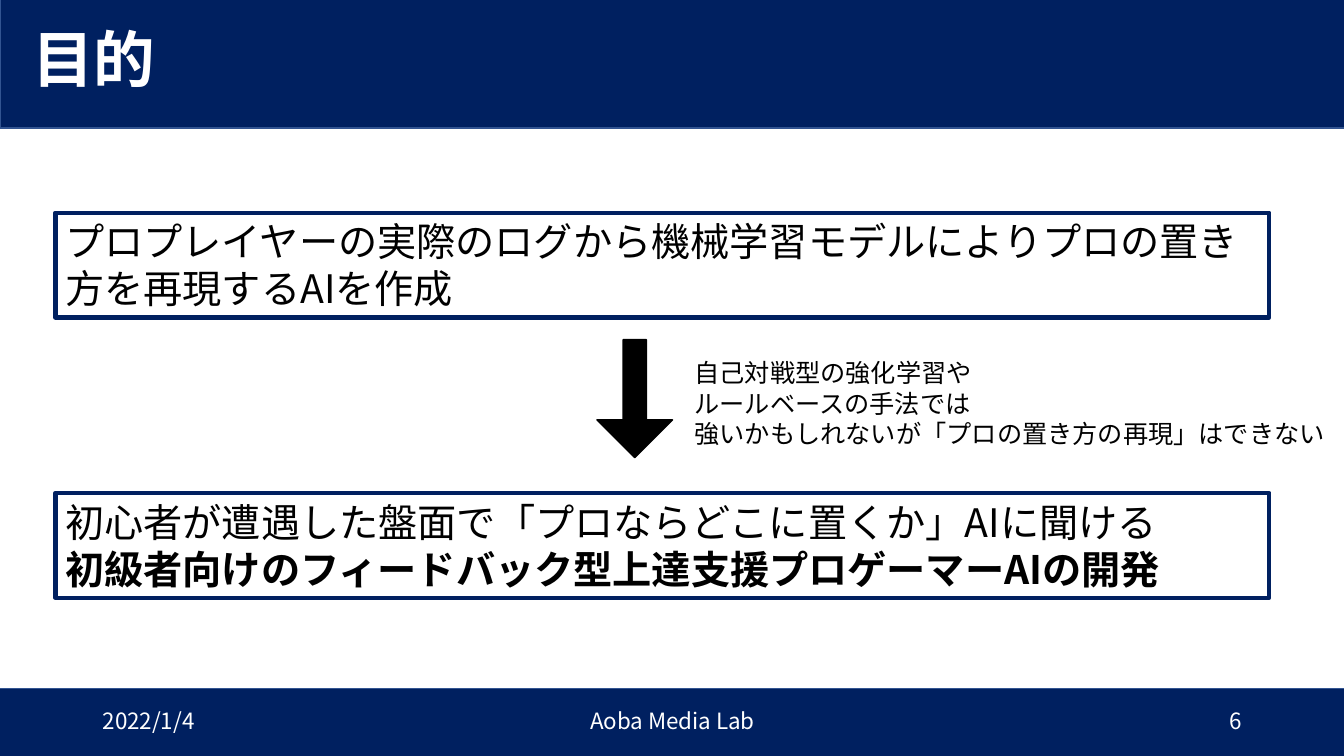
"""Build the purpose slide of the game AI talk."""
from dataclasses import dataclass
from typing import Optional

from lxml.etree import SubElement
from pptx import Presentation
from pptx.dml.color import RGBColor
from pptx.enum.shapes import MSO_SHAPE
from pptx.enum.text import MSO_ANCHOR, PP_ALIGN
from pptx.oxml.ns import qn
from pptx.util import Inches, Pt

NAVY = RGBColor(0x00, 0x20, 0x60)
EDGE = RGBColor(0x32, 0x54, 0x91)
WHITE = RGBColor(0xFF, 0xFF, 0xFF)
BLACK = RGBColor(0x00, 0x00, 0x00)
FONT = "Noto Sans CJK JP"


@dataclass(frozen=True)
class Block:
    """A filled or outlined preset shape."""
    at: tuple[float, float, float, float]
    fill: Optional[RGBColor] = NAVY
    line: RGBColor = EDGE
    width: float = 1
    kind: MSO_SHAPE = MSO_SHAPE.RECTANGLE
    rotation: float = 0
    adj: tuple[float, ...] = ()


@dataclass(frozen=True)
class Label:
    """Paragraphs of one size in a box."""
    at: tuple[float, float, float, float]
    lines: tuple[str, ...]
    size: float = 16
    color: RGBColor = WHITE
    align: PP_ALIGN = PP_ALIGN.LEFT
    anchor: MSO_ANCHOR = MSO_ANCHOR.MIDDLE
    bold: tuple[int, ...] = ()
    spacing: float = 1.0


GOAL_SIZE = (12.04, 1.04)
MODEL_AT = (0.55, 2.11, *GOAL_SIZE)
SUPPORT_AT = (0.55, 4.89, *GOAL_SIZE)
TOP = MSO_ANCHOR.TOP

BLOCKS = (
    Block((-0.01, 6.83, 13.39, 0.73)),
    Block((0, -0.02, 13.39, 1.29)),
    Block(MODEL_AT, None, NAVY, 3),
    Block(SUPPORT_AT, None, NAVY, 3),
    Block((5.71, 3.58, 1.17, 0.75), BLACK, BLACK, 1,
          MSO_SHAPE.RIGHT_ARROW, 90, (0.308, 0.5)),
)

LABELS = (
    Label((0.22, 0.09, 12.94, 1.07), ("目的",), 44, bold=(0,), spacing=0.9),
    Label((0.92, 6.95, 3, 0.4), ("2022/1/4",)),
    Label((4.42, 6.95, 4.5, 0.4), ("Aoba Media Lab",), align=PP_ALIGN.CENTER),
    Label((9.42, 6.95, 3, 0.4), ("6",), align=PP_ALIGN.RIGHT),
    Label(MODEL_AT,
          ("プロプレイヤーの実際のログから機械学習モデルによりプロの置き方を再現するAIを作成",),
          28, BLACK, anchor=TOP),
    Label(SUPPORT_AT,
          ("初心者が遭遇した盤面で「プロならどこに置くか」AIに聞ける",
           "初級者向けのフィードバック型上達支援プロゲーマーAIの開発"),
          28, BLACK, anchor=TOP, bold=(1,)),
    Label((6.79, 3.5, 6.79, 1.01),
          ("自己対戦型の強化学習や",
           "ルールベースの手法では",
           "強いかもしれないが「プロの置き方の再現」はできない"),
          18, BLACK, anchor=TOP),
)


def set_all(obj: object, values: dict[str, object]) -> None:
    """Set every attribute named in values."""
    for name, value in values.items():
        setattr(obj, name, value)


def draw_block(s, block: Block) -> None:
    """Add one preset shape to the slide."""
    sp = s.shapes.add_shape(block.kind, *map(Inches, block.at))
    sp.shadow.inherit = False
    sp.rotation = block.rotation
    for i, value in enumerate(block.adj):
        sp.adjustments[i] = value
    if block.fill is None:
        sp.fill.background()
    else:
        sp.fill.solid()
        sp.fill.fore_color.rgb = block.fill
    sp.line.color.rgb = block.line
    sp.line.width = Pt(block.width)


def draw_label(s, label: Label) -> None:
    """Add one text box to the slide."""
    tf = s.shapes.add_textbox(*map(Inches, label.at)).text_frame
    set_all(tf, {"word_wrap": True, "vertical_anchor": label.anchor})
    for i, text in enumerate(label.lines):
        p = tf.add_paragraph() if i else tf.paragraphs[0]
        set_all(p, {"alignment": label.align, "line_spacing": label.spacing})
        r = p.add_run()
        r.text = text
        set_all(r.font, {"name": FONT, "size": Pt(label.size),
                         "bold": i in label.bold})
        r.font.color.rgb = label.color
        SubElement(r.font._element, qn("a:ea"), typeface=FONT)


def main() -> None:
    """Draw the slide and save it."""
    prs = Presentation()
    set_all(prs, {"slide_width": Inches(13.33), "slide_height": Inches(7.5)})
    s = prs.slides.add_slide(prs.slide_layouts[6])
    for block in BLOCKS:
        draw_block(s, block)
    for label in LABELS:
        draw_label(s, label)
    prs.save("out.pptx")


if __name__ == "__main__":
    main()
